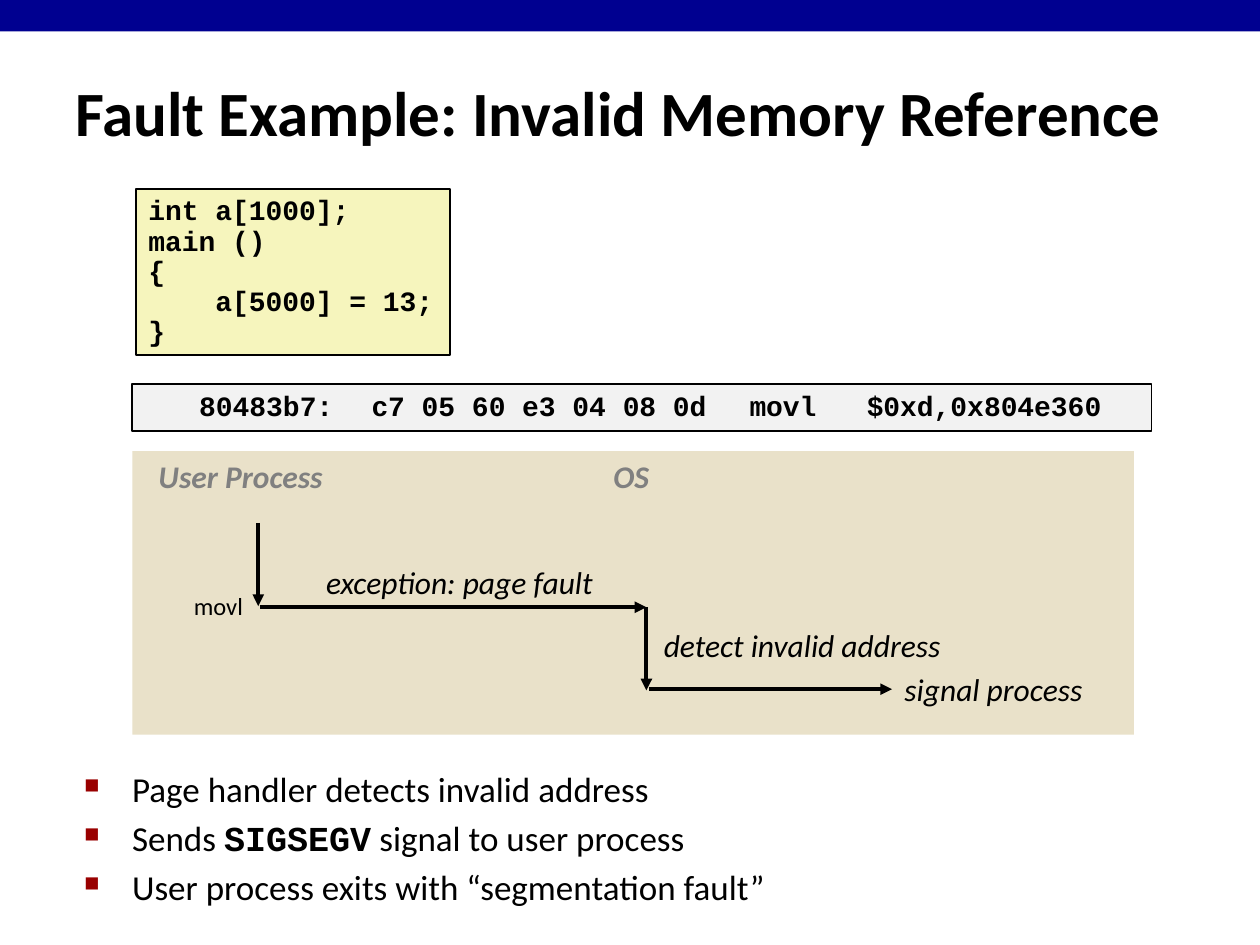
"""Build a slide on a fault caused by an invalid memory reference."""
from lxml import etree
from pptx import Presentation
from pptx.dml.color import RGBColor
from pptx.enum import shapes, text
from pptx.oxml import ns
from pptx.util import Inches, Pt

ink = RGBColor.from_string
deck = Presentation()
deck.slide_width, deck.slide_height = Inches(10), Inches(7.5)
slide = deck.slides.add_slide(deck.slide_layouts[6])
items = slide.shapes


def block(box, fill, edge=None):
    shape = items.add_shape(shapes.MSO_SHAPE.RECTANGLE, *map(Inches, box))
    shape.shadow.inherit = False
    shape.fill.solid()
    shape.fill.fore_color.rgb = ink(fill)
    if edge:
        shape.line.color.rgb = ink(edge)
        shape.line.width = Pt(1)
    else:
        shape.line.fill.background()
    return shape


def write(shape, words, size, tint="000000", face="Calibri", bold=False, slant=False):
    frame = shape.text_frame
    frame.text = words
    for para in frame.paragraphs:
        para.alignment = text.PP_ALIGN.LEFT
        for run in para.runs:
            font = run.font
            font.name, font.size = face, Pt(size)
            font.bold, font.italic = bold, slant
            font.color.rgb = ink(tint)
    return frame


block((0, 0, 10, 0.25), "000090")
title = items.add_textbox(*map(Inches, (0.5, 0.58, 9.5, 0.61)))
frame = write(title, "Fault Example: Invalid Memory Reference", 36, bold=True)
frame.word_wrap = True
frame.vertical_anchor = text.MSO_ANCHOR.MIDDLE

source = "int a[1000];\nmain ()\n{\n    a[5000] = 13;\n}"
machine = " 80483b7:\tc7 05 60 e3 04 08 0d \tmovl   $0xd,0x804e360"
for box, fill, words, side in (
    ((1.08, 1.5, 2.49, 1.32), "F6F5BD", source, text.PP_ALIGN.LEFT),
    ((1.05, 3.05, 8.09, 0.37), "F2F2F2", machine, text.PP_ALIGN.CENTER),
):
    frame = write(block(box, fill, "000000"), words, 16, face="Courier New", bold=True)
    frame.word_wrap = False
    frame.vertical_anchor = text.MSO_ANCHOR.MIDDLE
    for para in frame.paragraphs:
        para.alignment = side
        para.line_spacing = 0.9

block((1.05, 3.58, 7.95, 2.25), "E9E1C9")
for box, words, size, tint, bold, slant in (
    ((1.16, 3.58, 1.97, 0.5), "User Process", 18, "808080", True, True),
    ((4.77, 3.58, 0.59, 0.5), "OS", 18, "808080", True, True),
    ((2.49, 4.42, 2.34, 0.4), "exception: page fault", 18, "000000", False, True),
    ((5.17, 4.92, 2.5, 0.4), "detect invalid address", 18, "000000", False, True),
    ((1.44, 4.64, 0.6, 0.34), "movl", 14, "000000", False, False),
    ((7.08, 5.27, 1.75, 0.4), "signal process", 18, "000000", False, True),
):
    label = items.add_textbox(*map(Inches, box))
    frame = write(label, words, size, tint, bold=bold, slant=slant)
    frame.word_wrap = False
    frame.auto_size = text.MSO_AUTO_SIZE.SHAPE_TO_FIT_TEXT

for ends in (
    (2.05, 4.15, 2.05, 4.81),
    (2.06, 4.82, 5.13, 4.82),
    (5.13, 4.82, 5.13, 5.48),
    (5.15, 5.47, 7.08, 5.47),
):
    arrow = items.add_connector(shapes.MSO_CONNECTOR.STRAIGHT, *map(Inches, ends))
    arrow.line.color.rgb = ink("000000")
    arrow.line.width = Pt(2.25)
    etree.SubElement(arrow.line._get_or_add_ln(), ns.qn("a:tailEnd"), type="triangle")
    etree.SubElement(arrow._element.spPr, ns.qn("a:effectLst"))

points = (
    "Page handler detects invalid address",
    "Sends ",
    "User process exits with “segmentation fault”",
)
body = items.add_textbox(*map(Inches, (0.57, 6.04, 7.33, 1.37)))
body.text_frame.text = "\n".join(points)
paras = body.text_frame.paragraphs
for words in ("SIGSEGV", " signal to user process"):
    paras[1].add_run().text = words
for spot, para in enumerate(paras):
    props = para._p.get_or_add_pPr()
    props.set("marL", str(Inches(0.38)))
    props.set("indent", str(-Inches(0.38)))
    color = etree.SubElement(props, ns.qn("a:buClr"))
    etree.SubElement(color, ns.qn("a:srgbClr"), val="990000")
    etree.SubElement(props, ns.qn("a:buSzPct"), val="60000")
    etree.SubElement(props, ns.qn("a:buChar"), char="■")
    if spot:
        para.space_before = Pt(4)
    for run in para.runs:
        code = run.text == "SIGSEGV"
        run.font.name = "Courier New" if code else "Calibri"
        run.font.bold = code
        run.font.size = Pt(20)
        run.font.color.rgb = ink("000000")
body.text_frame.word_wrap = True

deck.save("out.pptx")
